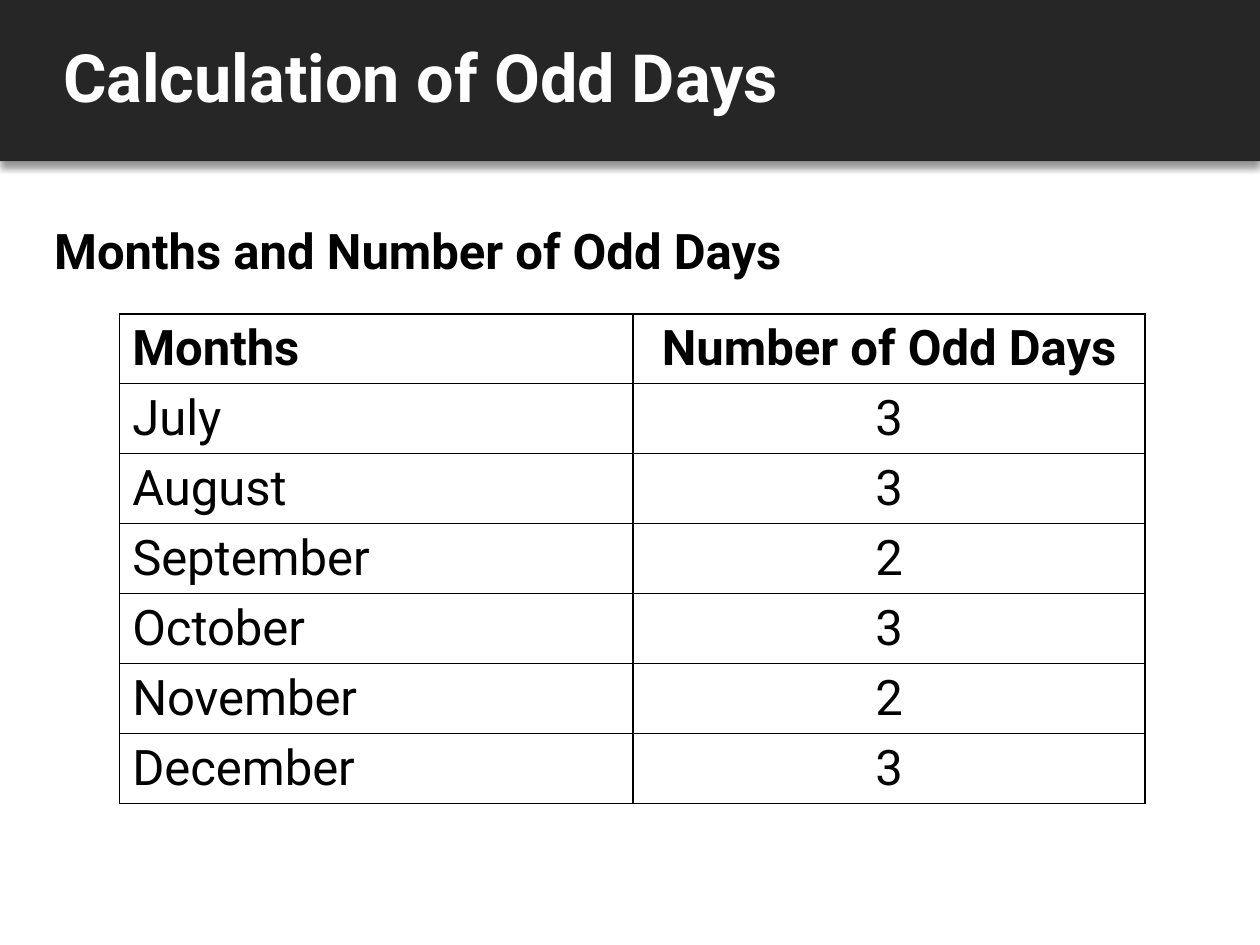
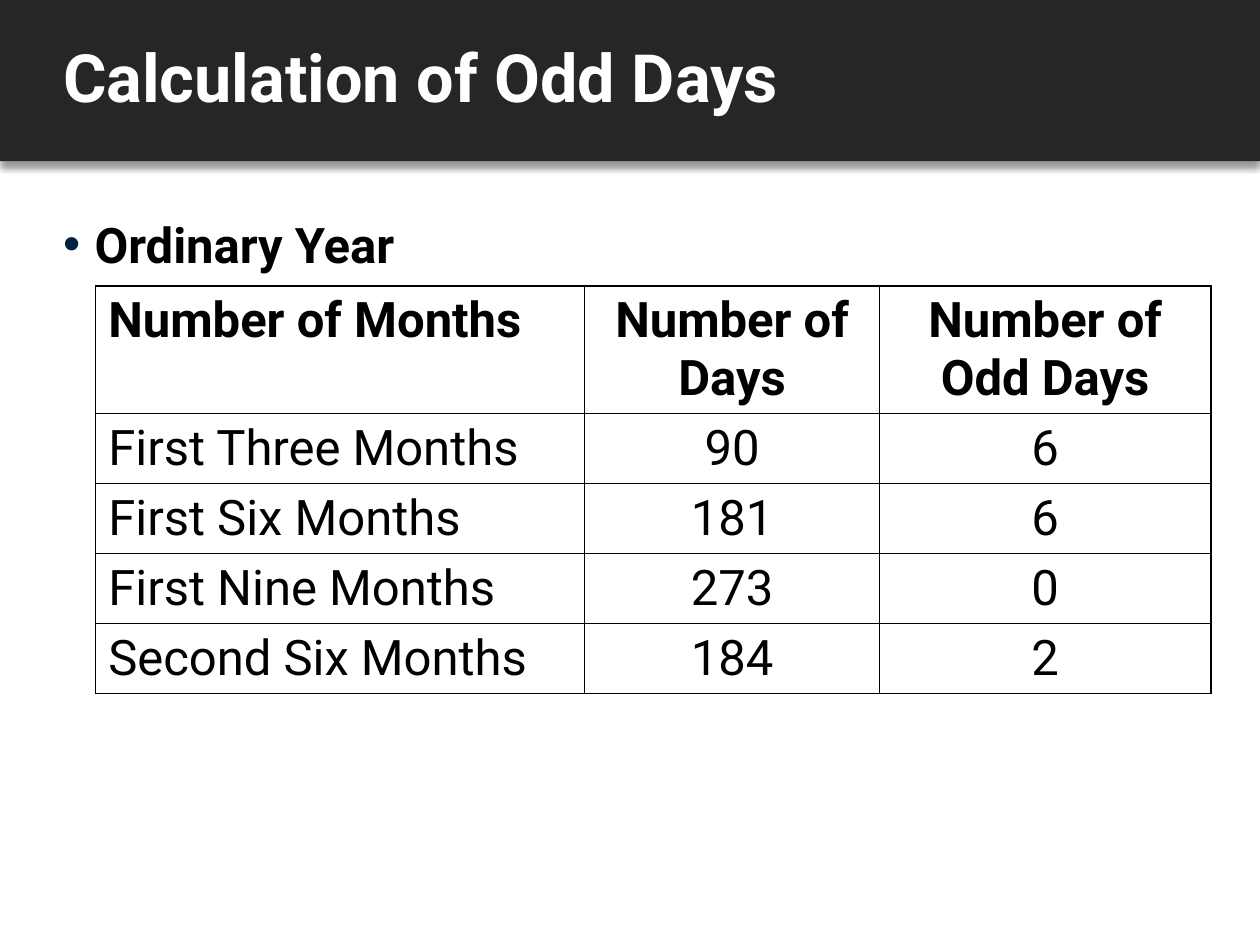
from dataclasses import dataclass

from lxml.etree import SubElement as Sub
from pptx import Presentation
from pptx.dml.color import RGBColor as Rgb
from pptx.enum.shapes import MSO_SHAPE as Form
from pptx.enum.text import MSO_ANCHOR as Anchor, MSO_AUTO_SIZE as Fit, PP_ALIGN as Align
from pptx.oxml.ns import qn
from pptx.util import Pt


@dataclass(frozen=True)
class Theme:
    font: str = "Roboto"
    band: str = "262626"
    ink: str = "000000"
    paper: str = "FFFFFF"
    dot: str = "00203F"
    head: int = 38
    text: int = 28
    edge: int = 1


def node(root, tag, **attrs):
    return Sub(root, qn(tag), **attrs)


def tint(root, color):
    fill = node(root, "a:solidFill")
    return node(fill, "a:srgbClr", val=color)


class Deck:
    def __init__(self, theme):
        self.theme = theme
        self.show = Presentation()
        self.show.slide_width, self.show.slide_height = Pt(720), Pt(540)
        self.form = self.show.slide_layouts[1]
        self.slide = None

    def page(self, title):
        first = self.slide is None
        self.slide = self.show.slides.add_slide(self.form)
        if first:
            self.band()
        self.title(title)

    def band(self):
        band = self.slide.shapes.add_shape(Form.RECTANGLE, 0, 0, Pt(720), Pt(92.16))
        band.fill.solid()
        band.fill.fore_color.rgb = Rgb.from_string(self.theme.band)
        band.line.fill.background()
        band.shadow.inherit = False
        glow = band.element.spPr.find(qn("a:effectLst"))
        shade = node(glow, "a:outerShdw", blurRad=str(Pt(4)), dist=str(Pt(3)),
                     dir="5400000", algn="t", rotWithShape="0")
        black = node(shade, "a:srgbClr", val=self.theme.ink)
        node(black, "a:alpha", val="40000")
        self.form.slide_master.shapes.element.insert(2, band.element)

    def style(self, para, size, color, bold, align=Align.LEFT):
        para.alignment = align
        font = para.font
        font.name, font.size, font.bold = self.theme.font, Pt(size), bold
        font.color.rgb = Rgb.from_string(color)

    def place(self, shape, left, top, width, height, text, anchor):
        shape.left, shape.top = Pt(left), Pt(top)
        shape.width, shape.height = Pt(width), Pt(height)
        frame = shape.text_frame
        frame.text = text
        frame.word_wrap = True
        frame.auto_size = Fit.NONE
        frame.vertical_anchor = anchor
        para = frame.paragraphs[0]
        para.space_before, para.space_after = Pt(0), Pt(6)
        return para

    def title(self, text):
        para = self.place(self.slide.shapes.title, 28.8, 0, 691.2, 92.16, text, Anchor.MIDDLE)
        para.line_spacing = 0.9
        self.style(para, self.theme.head, self.theme.paper, True)

    def body(self, text, left, top, dot=False):
        para = self.place(self.slide.placeholders[1], left, top, 676, 425.5, text, Anchor.TOP)
        para.line_spacing = 1.5
        props = para._p.get_or_add_pPr()
        step = Pt(18) if dot else 0
        props.set("marL", str(step))
        props.set("indent", str(-step))
        if dot:
            color = node(props, "a:buClr")
            node(color, "a:srgbClr", val=self.theme.dot)
            node(props, "a:buFont", typeface="Arial")
            node(props, "a:buChar", char="•")
        else:
            node(props, "a:buNone")
        self.style(para, self.theme.text, self.theme.ink, True, Align.JUSTIFY)

    def cell(self, cell, text, bold, align):
        cell.text = text
        props = cell._tc.get_or_add_tcPr()
        for side in "LRTB":
            line = node(props, f"a:ln{side}", w=str(Pt(self.theme.edge)))
            tint(line, self.theme.ink)
        cell.fill.solid()
        cell.fill.fore_color.rgb = Rgb.from_string(self.theme.paper)
        self.style(cell.text_frame.paragraphs[0], self.theme.text, self.theme.ink, bold, align)

    def table(self, left, top, cols, rows, head=40, row=40):
        high = head + row * (len(rows) - 1)
        grid = self.slide.shapes.add_table(
            len(rows), len(cols), Pt(left), Pt(top), Pt(sum(cols)), Pt(high)).table
        grid.first_row = grid.horz_banding = False
        for col, width in zip(grid.columns, cols):
            col.width = Pt(width)
        for r, texts in enumerate(rows):
            grid.rows[r].height = Pt(row if r else head)
            for c, text in enumerate(texts):
                self.cell(grid.cell(r, c), text, r == 0, Align.CENTER if c else Align.LEFT)


def main():
    deck = Deck(Theme())
    title = "Calculation of Odd Days"

    deck.page(title)
    deck.body("Months and Number of Odd Days", 23.76, 105.84)
    deck.table(68.4, 179.28, (293.4, 292.6), (
        ("Months", "Number of Odd Days"),
        ("July", "3"),
        ("August", "3"),
        ("September", "2"),
        ("October", "3"),
        ("November", "2"),
        ("December", "3"),
    ))

    deck.page(title)
    deck.body("Ordinary Year", 28.8, 102.24, dot=True)
    deck.table(54.72, 163.44, (279.36, 168.48, 189.36), (
        ("Number of Months", "Number of Days", "Number of Odd Days"),
        ("First Three Months", "90", "6"),
        ("First Six Months", "181", "6"),
        ("First Nine Months", "273", "0"),
        ("Second Six Months", "184", "2"),
    ), head=72.8)

    deck.show.save("out.pptx")


if __name__ == "__main__":
    main()
